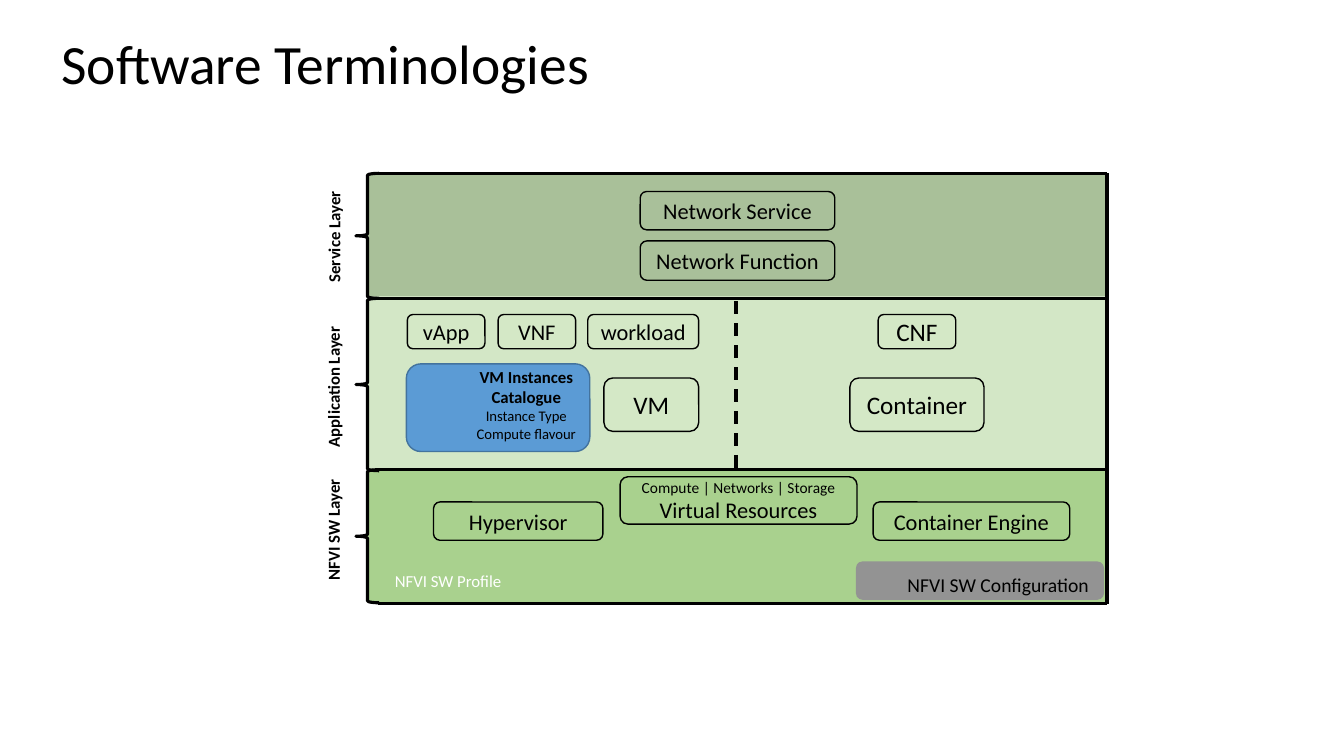
import pptx
import pptx.util
import pptx.dml.color
import pptx.enum.dml
import pptx.enum.shapes
import pptx.enum.text
import pptx.oxml
import pptx.oxml.ns

SHAPES = pptx.enum.shapes.MSO_SHAPE
ALIGN = pptx.enum.text.PP_ALIGN
MIDDLE = pptx.enum.text.MSO_ANCHOR.MIDDLE


def px(length):
    """Hundredths of an inch to EMU."""
    return pptx.util.Emu(length * 9144)


def color(value):
    return pptx.dml.color.RGBColor.from_string(value)


class Diagram:
    font = "Calibri"
    ink = "000000"
    heavy = 2.25
    thin = 1

    def __init__(self, page):
        self.page = page

    def add_lines(self, box, lines, align, ink=ink):
        """Fill a shape with lines of (text, size, bold)."""
        frame = box.text_frame
        frame.word_wrap = True
        for index, (text, size, bold) in enumerate(lines):
            para = frame.add_paragraph() if index else frame.paragraphs[0]
            para.alignment = align
            span = para.add_run()
            span.text = text
            span.font.name = self.font
            span.font.size = pptx.util.Pt(size)
            span.font.bold = bold
            span.font.color.rgb = color(ink)

    def title(self, text, left, top, width, height):
        box = self.page.shapes.title
        box.left, box.top, box.width, box.height = map(px, (left, top, width, height))
        self.add_lines(box, [(text, 39.6, False)], ALIGN.LEFT)
        box.text_frame.vertical_anchor = MIDDLE
        box.text_frame.paragraphs[0].line_spacing = 0.9

    def shape(self, kind, place, fill=None, line=None, weight=thin, opacity=100):
        box = self.page.shapes.add_shape(kind, *map(px, place))
        box.shadow.inherit = False
        if fill:
            box.fill.solid()
            box.fill.fore_color.rgb = color(fill)
        else:
            box.fill.background()
        if line:
            box.line.color.rgb = color(line)
            box.line.width = pptx.util.Pt(weight)
        else:
            box.line.fill.background()
        if opacity < 100:
            tint = box._element.spPr.find(".//" + pptx.oxml.ns.qn("a:srgbClr"))
            tint.append(pptx.oxml.parse_xml(
                f'<a:alpha {pptx.oxml.ns.nsdecls("a")} val="{opacity * 1000}"/>'))
        return box

    def node(self, place, fill, *lines):
        box = self.shape(SHAPES.ROUNDED_RECTANGLE, place, fill, self.ink)
        box.text_frame.vertical_anchor = MIDDLE
        self.add_lines(box, [(text, size, False) for text, size in lines], ALIGN.CENTER)

    def label(self, place, lines, align=ALIGN.CENTER, ink=ink, rotation=0, wrap=True):
        box = self.page.shapes.add_textbox(*map(px, place))
        box.rotation = rotation
        self.add_lines(box, lines, align, ink)
        box.text_frame.word_wrap = wrap
        box.text_frame.auto_size = pptx.enum.text.MSO_AUTO_SIZE.SHAPE_TO_FIT_TEXT

    def rule(self, *ends, dashed=False):
        line = self.page.shapes.add_connector(
            pptx.enum.shapes.MSO_CONNECTOR.STRAIGHT, *map(px, ends))
        line.line.color.rgb = color(self.ink)
        line.line.width = pptx.util.Pt(self.heavy)
        if dashed:
            line.line.dash_style = pptx.enum.dml.MSO_LINE.DASH
        line._element.spPr.append(pptx.oxml.parse_xml(
            f'<a:effectLst {pptx.oxml.ns.nsdecls("a")}/>'))


def main():
    deck = pptx.Presentation()
    deck.slide_width, deck.slide_height = px(1333), px(750)
    diagram = Diagram(deck.slides.add_slide(deck.slide_layouts[5]))
    diagram.title("Software Terminologies", 51, 29, 1150, 74)

    service, application, software = "A9C09A", "D4E8C6", "A9D18E"
    for place, fill, opacity in [
        ((364, 172, 734, 122), "548235", 50),
        ((365, 294, 734, 172), software, 50),
        ((364, 466, 735, 132), software, 100),
    ]:
        diagram.shape(SHAPES.RECTANGLE, place, fill, opacity=opacity)

    for name, top, height, label_place in [
        ("Service Layer", 172, 124, (272, 216, 118, 30)),
        ("Application Layer", 296, 171, (259, 367, 143, 30)),
        ("NFVI SW Layer", 466, 132, (262, 502, 137, 30)),
    ]:
        diagram.shape(SHAPES.LEFT_BRACE, (353, top, 23, height),
                      line=diagram.ink, weight=diagram.heavy)
        diagram.label(label_place, [(name, 12, True)], ALIGN.LEFT, rotation=270)

    for y in (172, 296, 466, 599):
        diagram.rule(375, y, 1098, y)
    diagram.rule(1098, 172, 1098, 599)
    diagram.rule(730, 299, 730, 467, dashed=True)

    for text, size, place, fill in [
        ("Network Service", 16, (635, 190, 193, 38), service),
        ("Network Function", 16, (635, 239, 193, 39), service),
        ("vApp", 16, (404, 312, 77, 34), application),
        ("VNF", 16, (494, 312, 77, 34), application),
        ("workload", 16, (583, 312, 110, 34), application),
        ("CNF", 18, (871, 312, 77, 34), application),
        ("VM", 18, (599, 375, 94, 53), application),
        ("Container", 18, (843, 375, 133, 53), application),
        ("Hypervisor", 16, (430, 498, 168, 38), software),
        ("Container Engine", 16, (866, 498, 195, 38), software),
    ]:
        diagram.node(place, fill, (text, size))
    diagram.node((615, 473, 235, 47), software,
                 ("Compute | Networks | Storage", 11), ("Virtual Resources", 16))

    diagram.shape(SHAPES.ROUNDED_RECTANGLE, (849, 557, 246, 38), "939393")
    diagram.label((889, 563, 202, 34), [("NFVI SW Configuration", 14, False)], wrap=False)
    diagram.label((358, 561, 173, 30), [("NFVI SW Profile", 12, False)], ink="FFFFFF")

    diagram.shape(SHAPES.ROUNDED_RECTANGLE, (403, 361, 182, 87), "5B9BD5", "43739E")
    diagram.label((458, 359, 128, 86), [
        ("VM Instances", 12, True),
        ("Catalogue", 12, True),
        ("Instance Type", 10.5, False),
        ("Compute flavour", 10.5, False),
    ])
    deck.save("out.pptx")


if __name__ == "__main__":
    main()
